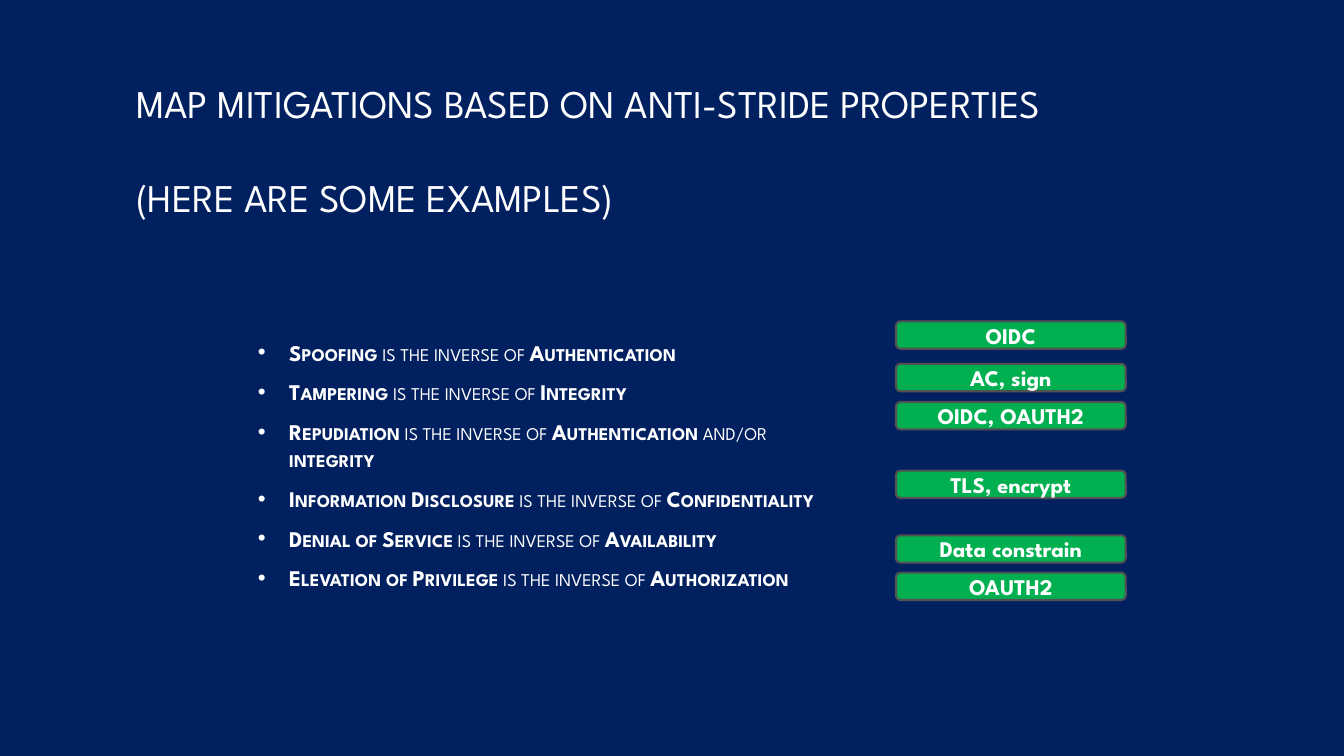
from dataclasses import dataclass

from lxml.etree import SubElement
from pptx import Presentation
from pptx.dml.color import RGBColor
from pptx.enum.shapes import MSO_SHAPE as Shape
from pptx.enum.text import MSO_ANCHOR as Anchor, PP_ALIGN as Align
from pptx.oxml.ns import qn
from pptx.slide import Slide
from pptx.text.text import TextFrame, _Paragraph as Paragraph
from pptx.util import Cm, Pt

FONT = "League Spartan"
COLORS = {"navy": "002060", "white": "FFFFFF", "green": "00B050", "grey": "525252"}
TITLE = ["MAP MITIGATIONS BASED ON ANTI-STRIDE PROPERTIES", "(HERE ARE SOME EXAMPLES)"]
INVERSE = " is the inverse of "


@dataclass(frozen=True)
class Threat:
    name: str
    inverse: str
    mitigation: str
    pill_top: float
    alternative: str = ""


THREATS = [
    Threat("Spoofing", "Authentication", "OIDC", 8.1, ),
    Threat("Tampering", "Integrity", "AC, sign", 9.17),
    Threat("Repudiation", "Authentication", "OIDC, OAUTH2", 10.13, "integrity"),
    Threat("Information Disclosure", "Confidentiality", "TLS, encrypt", 11.86),
    Threat("Denial of Service", "Availability", "Data constrain", 13.49),
    Threat("Elevation of Privilege", "Authorization", "OAUTH2", 14.43),
]


def color(name: str) -> RGBColor:
    return RGBColor.from_string(COLORS[name])


def add_span(para: Paragraph, text: str, size: float, bold: bool = False,
             small_caps: bool = False) -> None:
    span = para.add_run()
    span.text = text
    font = span.font
    font.name, font.size, font.bold = FONT, Pt(size), bold
    font.color.rgb = color("white")
    if small_caps:
        span._r.get_or_add_rPr().set("cap", "small")


def add_text_box(page: Slide, left: float, top: float, width: float,
                 height: float) -> TextFrame:
    frame = page.shapes.add_textbox(Cm(left), Cm(top), Cm(width), Cm(height)).text_frame
    frame.word_wrap = True
    frame.vertical_anchor = Anchor.MIDDLE
    return frame


def next_para(frame: TextFrame, index: int, space_before: float) -> Paragraph:
    """Return the first paragraph, or a new one set apart from the last."""
    if index == 0:
        return frame.paragraphs[0]
    para = frame.add_paragraph()
    para.space_before = Pt(space_before)
    return para


def add_bullet(para: Paragraph) -> None:
    props = para._p.get_or_add_pPr()
    props.set("marL", str(Cm(0.79)))
    props.set("indent", str(-Cm(0.79)))
    bullet_color = SubElement(props, qn("a:buClr"))
    SubElement(bullet_color, qn("a:srgbClr")).set("val", COLORS["white"])
    SubElement(props, qn("a:buFont")).set("typeface", "Arial")
    SubElement(props, qn("a:buChar")).set("char", "•")


def add_title(page: Slide) -> None:
    frame = add_text_box(page, 3.18, 1.73, 26.85, 4.11)
    for index, line in enumerate(TITLE):
        add_span(next_para(frame, index, 33.6), line, 28)


def add_threat_list(page: Slide) -> None:
    frame = add_text_box(page, 6.25, 7.87, 15.21, 7.7)
    for index, threat in enumerate(THREATS):
        para = next_para(frame, index, 3.2)
        para.space_after = Pt(6)
        add_bullet(para)
        spans = [(threat.name, True), (INVERSE, False), (threat.inverse, True)]
        if threat.alternative:
            spans += [(" and/or ", False), (threat.alternative, True)]
        for text, bold in spans:
            add_span(para, text, 16, bold, small_caps=True)


def add_pill(page: Slide, threat: Threat) -> None:
    pill = page.shapes.add_shape(Shape.ROUNDED_RECTANGLE, Cm(22.58),
                                 Cm(threat.pill_top), Cm(5.79), Cm(0.69))
    pill.shadow.inherit = False
    pill.fill.solid()
    pill.fill.fore_color.rgb = color("green")
    pill.line.color.rgb = color("grey")
    pill.line.width = Pt(1.5)
    pill.text_frame.vertical_anchor = Anchor.MIDDLE
    para = pill.text_frame.paragraphs[0]
    para.alignment = Align.CENTER
    add_span(para, threat.mitigation, 16, bold=True)


def main() -> None:
    deck = Presentation()
    deck.slide_width, deck.slide_height = Cm(33.87), Cm(19.05)
    page = deck.slides.add_slide(deck.slide_layouts[6])
    page.background.fill.solid()
    page.background.fill.fore_color.rgb = color("navy")
    add_threat_list(page)
    add_title(page)
    for threat in THREATS:
        add_pill(page, threat)
    deck.save("out.pptx")


if __name__ == "__main__":
    main()
